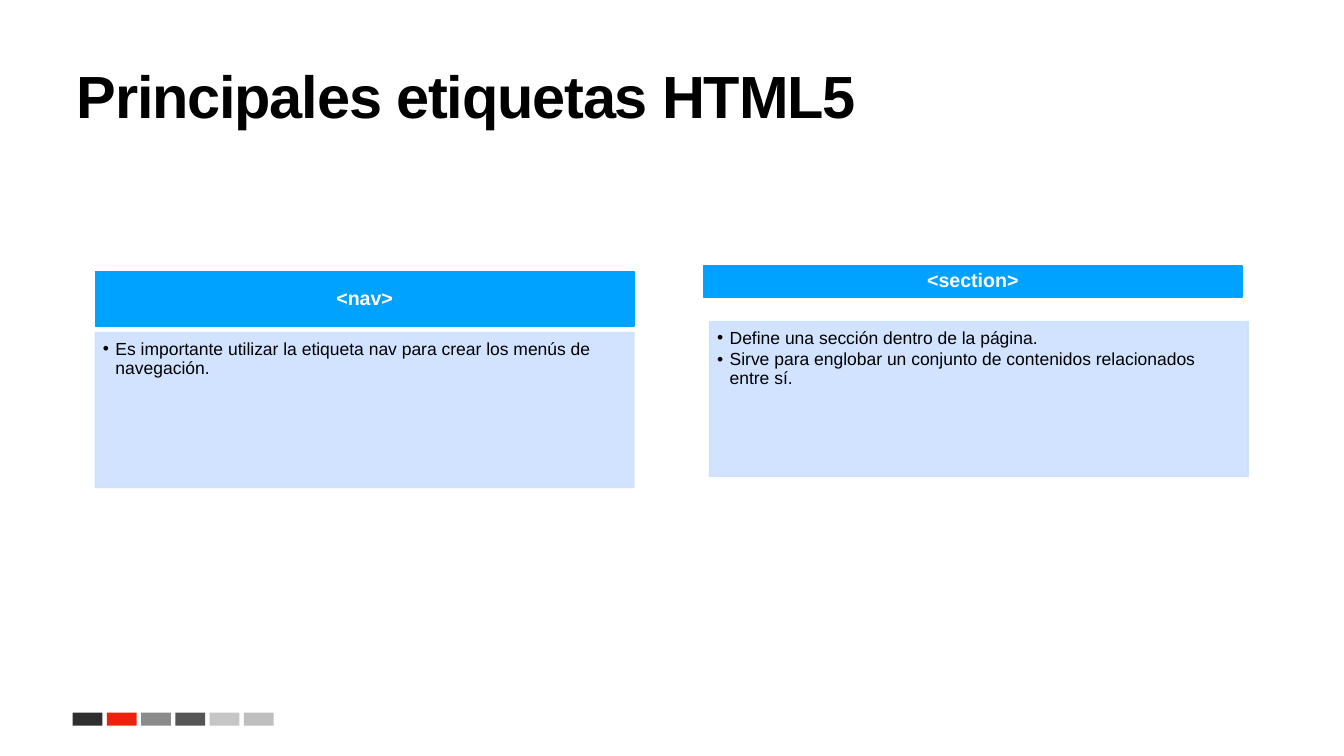
"""Build the slide on the HTML5 nav and section tags."""
from lxml import etree
from pptx import Presentation
from pptx import util as u
from pptx.dml.color import RGBColor
from pptx.enum import shapes, text
from pptx.oxml.ns import qn

COLORS = {"ink": "000000", "paper": "FFFFFF", "tag": "00A2FF", "panel": "CCE0FF"}
SWATCHES = ["2F2F2F", "ED220D", "8B8B8B", "555555", "C6C6C6", "BFBFBF"]

deck = Presentation()
deck.slide_width, deck.slide_height = u.Inches(26.67), u.Inches(15)
column, row = deck.slide_width / 100, deck.slide_height / 100
slide = deck.slides.add_slide(deck.slide_layouts[4])
heading, nav_tag, nav_list, section_tag, section_list = slide.placeholders


def place(box, area, margins, anchor):
    left, top, width, height = area
    box.left, box.top = u.Emu(round(left * column)), u.Emu(round(top * row))
    box.width, box.height = u.Emu(round(width * column)), u.Emu(round(height * row))
    frame = box.text_frame
    frame.auto_size, frame.word_wrap = text.MSO_AUTO_SIZE.NONE, True
    frame.vertical_anchor = anchor
    (frame.margin_left, frame.margin_top,
     frame.margin_right, frame.margin_bottom) = map(u.Inches, margins)


def write(box, lines, size, color, bold, align, after=0):
    box.text_frame.text = "\n".join(lines)
    for paragraph in box.text_frame.paragraphs:
        paragraph.alignment, paragraph.line_spacing = align, 0.9
        paragraph.space_before, paragraph.space_after = u.Pt(0), u.Pt(after)
        font = paragraph.font
        font.name, font.size, font.bold = "Arial", u.Pt(size), bold
        font.color.rgb = RGBColor.from_string(COLORS[color])


for number, swatch in enumerate(SWATCHES):
    block = slide.shapes.add_shape(
        shapes.MSO_SHAPE.RECTANGLE, round((5.4 + 2.55 * number) * column),
        round(94.27 * row), round(2.21 * column), round(1.73 * row))
    block.shadow.inherit = False
    block.fill.solid()
    block.fill.fore_color.rgb = RGBColor.from_string(swatch)
    block.line.fill.background()

place(heading, (4.95, 7.87, 90.1, 10.47), (0.2, 0.1, 0.2, 0.1), text.MSO_ANCHOR.MIDDLE)
write(heading, ["Principales etiquetas HTML5"], 85, "ink", True, text.PP_ALIGN.LEFT)
heading.text_frame.paragraphs[0].runs[0]._r.get_or_add_rPr().set("spc", "-170")

cards = [
    (nav_tag, "<nav>", (7.09, 35.93, 40.08, 7.2),
     nav_list, (7.09, 44, 40.08, 20.47),
     ["Es importante utilizar la etiqueta nav para crear los menús de navegación."]),
    (section_tag, "<section>", (52.34, 35.2, 40.08, 4.07),
     section_list, (52.79, 42.53, 40.08, 20.47),
     ["Define una sección dentro de la página.",
      "Sirve para englobar un conjunto de contenidos relacionados entre sí."]),
]
for tag, name, tag_area, panel, panel_area, points in cards:
    place(tag, tag_area, (0.22, 0.12, 0.22, 0.12), text.MSO_ANCHOR.MIDDLE)
    write(tag, [name], 28, "paper", True, text.PP_ALIGN.CENTER)
    place(panel, panel_area, (0.15, 0.15, 0.19, 0.22), text.MSO_ANCHOR.TOP)
    write(panel, points, 25, "ink", False, text.PP_ALIGN.LEFT, after=3.75)
    for box, color in ((tag, "tag"), (panel, "panel")):
        box.fill.solid()
        box.fill.fore_color.rgb = RGBColor.from_string(COLORS[color])
        box.line.color.rgb = RGBColor.from_string(COLORS[color])
        box.line.width = u.Pt(2)
    for tint in panel._element.spPr.iter(qn("a:srgbClr")):
        etree.SubElement(tint, qn("a:alpha"), val="90000")
    for paragraph in panel.text_frame.paragraphs:
        indent = paragraph._p.get_or_add_pPr()
        indent.set("marL", str(u.Inches(0.25)))
        indent.set("indent", str(-u.Inches(0.25)))

deck.save("out.pptx")
